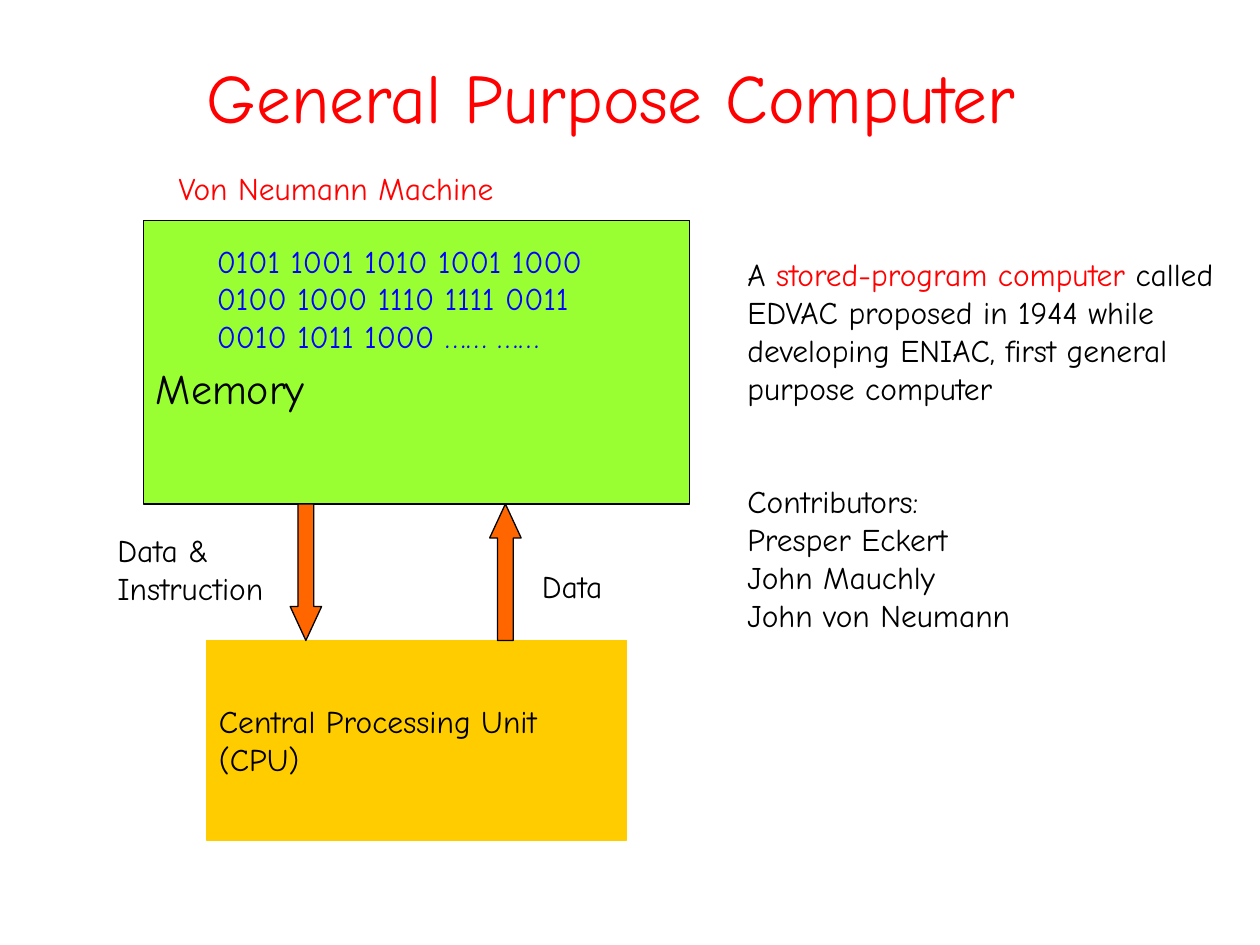
from pptx import Presentation
from pptx.dml.color import RGBColor
from pptx.enum.shapes import MSO_SHAPE as Shape
from pptx.enum.text import MSO_ANCHOR as Anchor, PP_ALIGN as Align
from pptx.util import Pt

FONT = "Comic Neue"
BLACK, RED, BLUE = "000000", "FF0000", "0000FF"
GREEN, GOLD, ORANGE = "99FF33", "FFCC00", "FF6600"


def color(value):
    """Turn a hex string into a colour."""
    return RGBColor.from_string(value)


def apply_format(target, values):
    """Set every attribute named in a dict of format values."""
    for name, value in values.items():
        setattr(target, name, value)


def write(frame, paragraphs, size=18, ink=BLACK, align=Align.LEFT):
    """Fill a text frame; a paragraph is a string or a list of (text, colour) runs."""
    frame.word_wrap = True
    for index, content in enumerate(paragraphs):
        paragraph = frame.add_paragraph() if index else frame.paragraphs[0]
        paragraph.alignment = align
        runs = [(content, ink)] if isinstance(content, str) else content
        for text, run_ink in runs:
            run = paragraph.add_run()
            run.text = text
            apply_format(run.font, {"name": FONT, "size": Pt(size)})
            run.font.color.rgb = color(run_ink)


def add_title(slide, text):
    """Place and format the title placeholder."""
    title = slide.shapes.title
    apply_format(title, {"left": Pt(25), "top": Pt(25), "width": Pt(648), "height": Pt(60)})
    title.text_frame.vertical_anchor = Anchor.MIDDLE
    write(title.text_frame, [text], 39.6, RED, Align.CENTER)


def add_text(slide, box, paragraphs, ink=BLACK):
    """Add a text box and return its text frame."""
    frame = slide.shapes.add_textbox(*map(Pt, box)).text_frame
    write(frame, paragraphs, ink=ink)
    return frame


def add_block(slide, kind, box, fill, line=BLACK):
    """Add a filled and outlined preset shape."""
    shape = slide.shapes.add_shape(kind, *map(Pt, box))
    shape.shadow.inherit = False
    shape.fill.solid()
    shape.fill.fore_color.rgb = color(fill)
    shape.line.color.rgb = color(line)
    shape.line.width = Pt(0.75)
    return shape


def add_unit(slide, box, fill, line, paragraphs, size=18, top_inset=3.6):
    """Add a labelled rectangle for a part of the machine."""
    frame = add_block(slide, Shape.RECTANGLE, box, fill, line).text_frame
    apply_format(frame, {"vertical_anchor": Anchor.MIDDLE, "margin_top": Pt(top_inset)})
    write(frame, paragraphs, size)


def add_arrow(slide, kind, left):
    """Add a block arrow that spans the gap between memory and CPU."""
    arrow = add_block(slide, kind, (left, 288, 18, 78), ORANGE)
    arrow.adjustments[0] = 0.5
    arrow.adjustments[1] = 1.08


def main():
    """Build the slide and save it."""
    presentation = Presentation()
    apply_format(presentation, {"slide_width": Pt(720), "slide_height": Pt(540)})
    slide = presentation.slides.add_slide(presentation.slide_layouts[5])
    add_title(slide, "General Purpose Computer")

    add_unit(slide, (118, 366, 240, 114), GOLD, GOLD, ["Central Processing Unit", "(CPU)"])
    add_unit(slide, (82, 126, 312, 162), GREEN, BLACK, ["Memory"], 24, 32.6)
    add_arrow(slide, Shape.DOWN_ARROW, 165.8)
    add_arrow(slide, Shape.UP_ARROW, 279.8)

    add_text(slide, (302.6, 320.4, 55, 29), ["Data"])
    add_text(slide, (60, 300, 112, 51), ["Data &", "Instruction"])
    add_text(slide, (116.8, 134.6, 240, 72), [
        "0101 1001 1010 1001 1000",
        "0100 1000 1110 1111 0011",
        "0010 1011 1000 …… ……",
    ], BLUE)
    history = add_text(slide, (420, 142.4, 282, 269), [
        [("A ", BLACK), ("stored-program computer ", RED),
         ("called EDVAC proposed in 1944 while developing ENIAC, "
          "first general purpose computer", BLACK)],
        "Contributors:", "Presper Eckert", "John Mauchly", "John von Neumann",
    ])
    history.paragraphs[1].space_before = Pt(43.2)
    add_text(slide, (95, 92.8, 202, 29), ["Von Neumann Machine"], RED)

    presentation.save("out.pptx")


if __name__ == "__main__":
    main()
